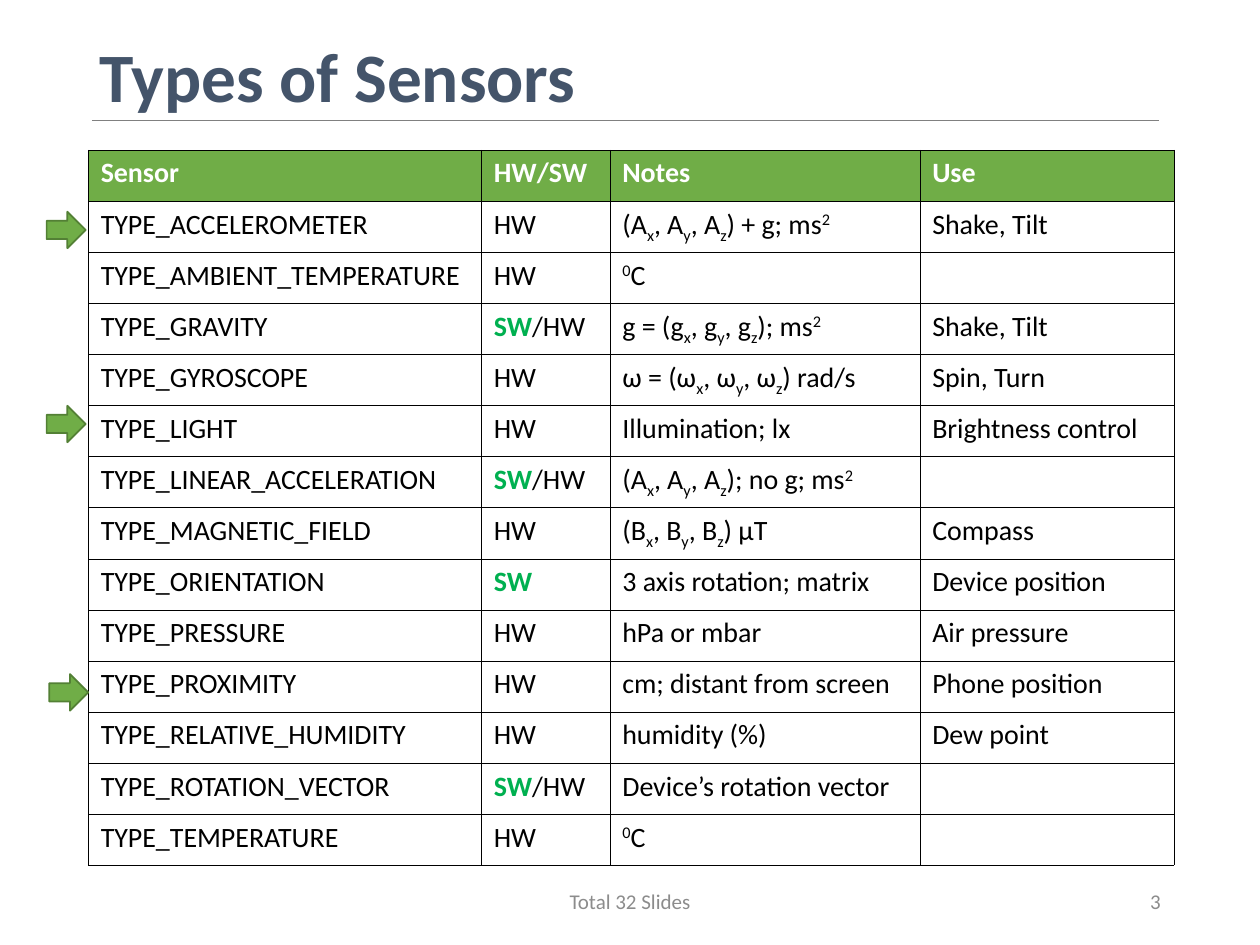
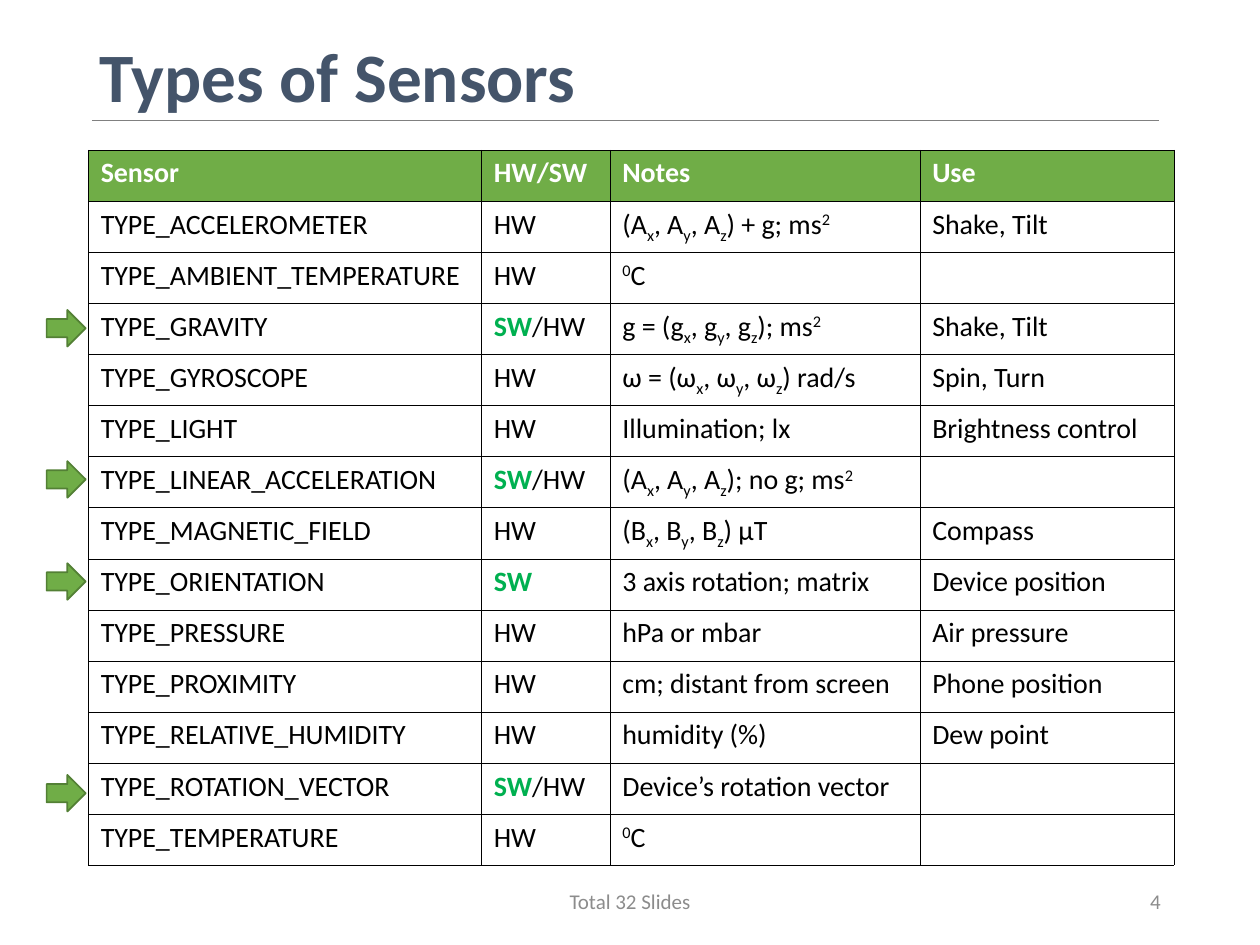
"""Build two slides that list phone sensor types and point at chosen rows."""
from dataclasses import dataclass

from lxml import etree
from pptx import Presentation
from pptx import util as u
from pptx.dml.color import RGBColor
from pptx.enum import shapes, text
from pptx.oxml import ns

PX = 9144


@dataclass(frozen=True)
class Theme:
    font: str = "Calibri"
    title: str = "44546A"
    rule: str = "808080"
    accent: str = "70AD47"
    accent_edge: str = "538035"
    software: str = "00B050"
    ink: str = "000000"
    paper: str = "FFFFFF"
    footer: str = "8C8C8C"
    title_size: float = 39.6
    table_size: int = 16
    footer_size: int = 12
    rule_width: float = 0.5
    edge_width: float = 1
    border_width: float = 0.25


THEME = Theme()
BASELINES = {"~": "-25000", "^": "30000"}
COLUMN_WIDTHS = (312, 102, 246, 202)
TABLE_BOX = (70, 119, sum(COLUMN_WIDTHS), 568)


def vector(symbol):
    return "(" + ", ".join(f"{symbol}~{axis}" for axis in "xyz") + ")"


HEADINGS = ("Sensor", "HW/SW", "Notes", "Use")
SENSORS = (
    ("ACCELEROMETER", "HW", vector("A") + " + g; ms^2", "Shake, Tilt"),
    ("AMBIENT_TEMPERATURE", "HW", "^0C", ""),
    ("GRAVITY", "SW/HW", "g = " + vector("g") + "; ms^2", "Shake, Tilt"),
    ("GYROSCOPE", "HW", "ω = " + vector("ω") + " rad/s", "Spin, Turn"),
    ("LIGHT", "HW", "Illumination; lx", "Brightness control"),
    ("LINEAR_ACCELERATION", "SW/HW", vector("A") + "; no g; ms^2", ""),
    ("MAGNETIC_FIELD", "HW", vector("B") + " µT", "Compass"),
    ("ORIENTATION", "SW", "3 axis rotation; matrix", "Device position"),
    ("PRESSURE", "HW", "hPa or mbar", "Air pressure"),
    ("PROXIMITY", "HW", "cm; distant from screen", "Phone position"),
    ("RELATIVE_HUMIDITY", "HW", "humidity (%)", "Dew point"),
    ("ROTATION_VECTOR", "SW/HW", "Device’s rotation vector", ""),
    ("TEMPERATURE", "HW", "^0C", ""),
)
ARROWS_BY_SLIDE = {
    3: ((37, 168), (37, 322), (39, 535)),
    4: ((37, 246), (37, 366), (37, 447), (37, 615)),
}


def scaled(*lengths):
    return [u.Emu(length * PX) for length in lengths]


def apply_format(target, **values):
    for name, value in values.items():
        setattr(target, name, value)


def paint(fill, color):
    fill.solid()
    fill.fore_color.rgb = RGBColor.from_string(color)


def draw_line(line, color, width):
    paint(line.fill, color)
    line.width = u.Pt(width)


def add_run(paragraph, wording, size, color, bold=False):
    run = paragraph.add_run()
    run.text = wording
    apply_format(run.font, name=THEME.font, size=u.Pt(size), bold=bold)
    run.font.color.rgb = RGBColor.from_string(color)
    return run


def add_label(slide, box, wording, size, color, bold=False, **paragraph_format):
    frame = slide.shapes.add_textbox(*scaled(*box)).text_frame
    apply_format(frame, word_wrap=True, vertical_anchor=text.MSO_ANCHOR.MIDDLE)
    paragraph = frame.paragraphs[0]
    apply_format(paragraph, **paragraph_format)
    add_run(paragraph, wording, size, color, bold)


def add_rule(slide):
    rule = slide.shapes.add_connector(
        shapes.MSO_CONNECTOR.STRAIGHT, *scaled(73, 96, 920, 96))
    draw_line(rule.line, THEME.rule, THEME.rule_width)
    etree.SubElement(rule._element.spPr, ns.qn("a:effectLst"))


def add_arrow(slide, left, top):
    arrow = slide.shapes.add_shape(
        shapes.MSO_SHAPE.RIGHT_ARROW, *scaled(left, top, 31, 29))
    arrow.shadow.inherit = False
    paint(arrow.fill, THEME.accent)
    draw_line(arrow.line, THEME.accent_edge, THEME.edge_width)


def split_runs(wording):
    """Split wording into (characters, mark) pairs; a mark covers one character."""
    pieces, mark = [("", "")], ""
    for character in wording:
        if character in BASELINES:
            mark = character
        elif mark == pieces[-1][1]:
            pieces[-1] = (pieces[-1][0] + character, mark)
            mark = ""
        else:
            pieces.append((character, mark))
            mark = ""
    return [piece for piece in pieces if piece[0]]


def write_cell(cell, wording, color, bold):
    paragraph = cell.text_frame.paragraphs[0]
    if wording.startswith("SW"):
        add_run(paragraph, "SW", THEME.table_size, THEME.software, True)
        wording = wording.removeprefix("SW")
    for characters, mark in split_runs(wording):
        run = add_run(paragraph, characters, THEME.table_size, color, bold)
        if mark:
            run._r.get_or_add_rPr().set("baseline", BASELINES[mark])


def add_borders(cell):
    properties = cell._tc.get_or_add_tcPr()
    for side in ("lnL", "lnR", "lnT", "lnB"):
        border = etree.SubElement(
            properties, ns.qn(f"a:{side}"), w=str(u.Pt(THEME.border_width)))
        fill = etree.SubElement(border, ns.qn("a:solidFill"))
        etree.SubElement(fill, ns.qn("a:srgbClr"), val=THEME.ink)


def add_sensor_table(slide):
    rows = [HEADINGS] + [("TYPE_" + name, *rest) for name, *rest in SENSORS]
    box = scaled(*TABLE_BOX)
    table = slide.shapes.add_table(len(rows), len(HEADINGS), *box).table
    apply_format(table, first_row=True, horz_banding=False)
    for column, width in zip(table.columns, scaled(*COLUMN_WIDTHS)):
        column.width = width
    for index, (row, wordings) in enumerate(zip(table.rows, rows)):
        row.height = u.Emu(box[3] // len(rows))
        heading = index == 0
        for cell, wording in zip(row.cells, wordings):
            add_borders(cell)
            paint(cell.fill, THEME.accent if heading else THEME.paper)
            write_cell(cell, wording, THEME.paper if heading else THEME.ink, heading)


def add_footer(slide, number):
    footers = (
        ((706, 695, 225, 40), str(number), text.PP_ALIGN.RIGHT),
        ((331, 695, 338, 40), "Total 32 Slides", text.PP_ALIGN.CENTER),
    )
    for box, wording, alignment in footers:
        add_label(slide, box, wording, THEME.footer_size, THEME.footer,
                  alignment=alignment)


def add_sensor_slide(presentation, number, arrows):
    slide = presentation.slides.add_slide(presentation.slide_layouts[6])
    add_label(slide, (69, 40, 862, 47), "Types of Sensors", THEME.title_size,
              THEME.title, bold=True, line_spacing=0.9)
    add_rule(slide)
    add_sensor_table(slide)
    for left, top in arrows:
        add_arrow(slide, left, top)
    add_footer(slide, number)


def main():
    presentation = Presentation()
    width, height = scaled(1000, 750)
    apply_format(presentation, slide_width=width, slide_height=height)
    for number, arrows in ARROWS_BY_SLIDE.items():
        add_sensor_slide(presentation, number, arrows)
    presentation.save("out.pptx")


if __name__ == "__main__":
    main()
